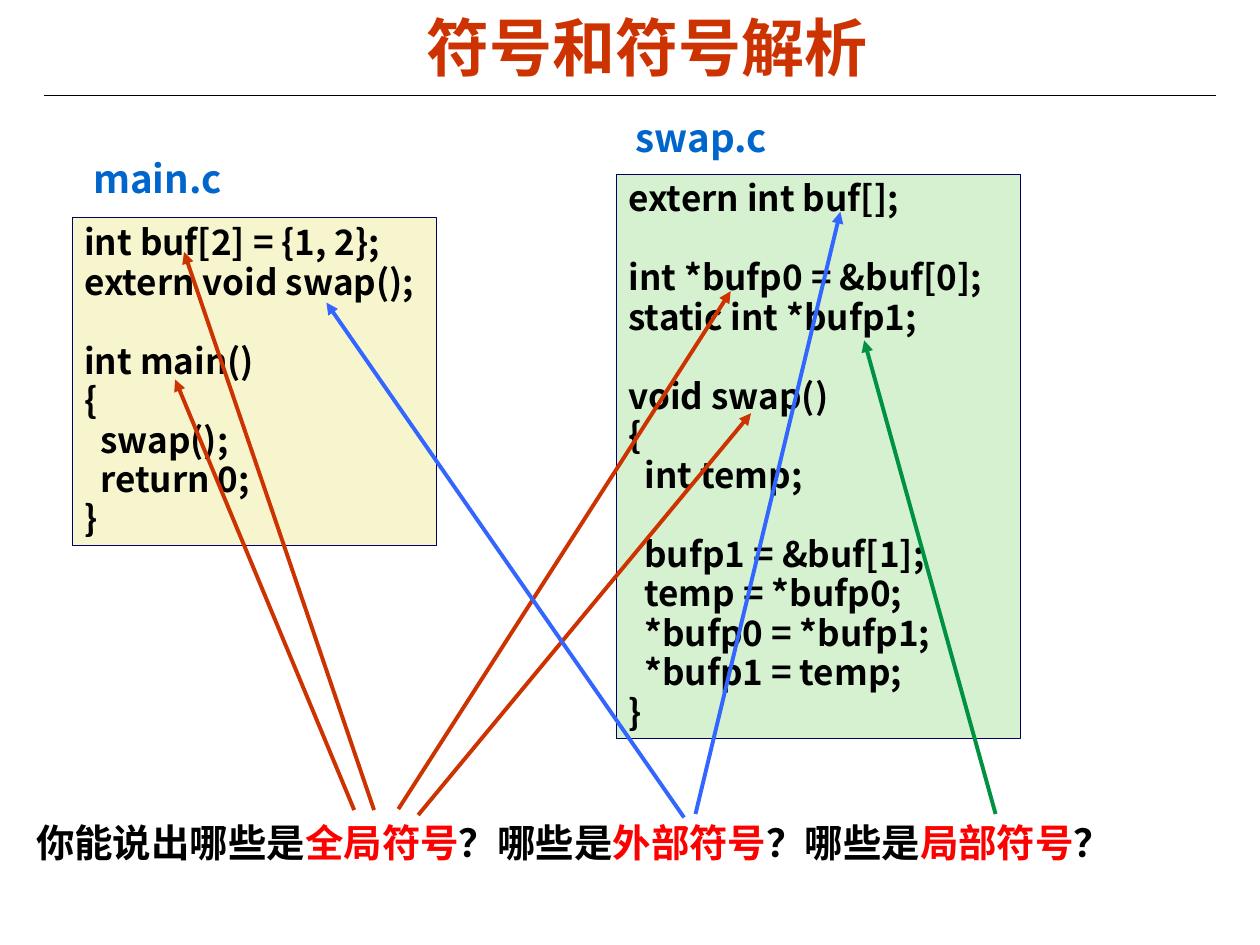
from lxml import etree
from pptx import Presentation
from pptx.dml.color import RGBColor
from pptx.enum.shapes import MSO_CONNECTOR, MSO_SHAPE
from pptx.enum.text import MSO_ANCHOR, PP_ALIGN
from pptx.oxml.ns import qn
from pptx.util import Cm, Pt

STRAIGHT = MSO_CONNECTOR.STRAIGHT
RECTANGLE = MSO_SHAPE.RECTANGLE
TOP, MIDDLE = MSO_ANCHOR.TOP, MSO_ANCHOR.MIDDLE
LEFT, CENTER = PP_ALIGN.LEFT, PP_ALIGN.CENTER

BLACK = RGBColor(0x00, 0x00, 0x00)
RED = RGBColor(0xFF, 0x00, 0x00)
BRICK = RGBColor(0xCC, 0x33, 0x00)
BLUE = RGBColor(0x33, 0x66, 0xFF)
GREEN = RGBColor(0x00, 0x92, 0x42)
FILE_BLUE = RGBColor(0x00, 0x66, 0xCC)
NAVY = RGBColor(0x00, 0x00, 0x66)
CREAM = RGBColor(0xF7, 0xF5, 0xCD)
MINT = RGBColor(0xD5, 0xF1, 0xCF)

TEXT_FONT = "Arial"
CODE_FONT = "Noto Sans CJK SC"
CODE_SPACING = 0.94
CODE_LINE = Pt(22.6)

MAIN_CODE = """int buf[2] = {1, 2};
extern void swap();

int main()
{
  swap();
  return 0;
}"""

SWAP_CODE = """extern int buf[];

int *bufp0 = &buf[0];
static int *bufp1;

void swap()
{
  int temp;

  bufp1 = &buf[1];
  temp = *bufp0;
  *bufp0 = *bufp1;
  *bufp1 = temp;
}"""

QUESTION = [
    ("你能说出哪些是", BLACK), ("全局符号", RED),
    ("？哪些是", BLACK), ("外部符号", RED),
    ("？哪些是", BLACK), ("局部符号", RED), ("？", BLACK),
]

ARROWS = [
    (BRICK, (7.54, 16.33), (3.71, 5.08)),
    (BRICK, (7.14, 16.33), (3.53, 7.65)),
    (BRICK, (8.03, 16.31), (14.73, 5.87)),
    (BRICK, (8.43, 16.43), (15.14, 8.33)),
    (BLUE, (13.79, 16.48), (6.58, 6.1)),
    (BLUE, (14.02, 16.41), (16.94, 4.27)),
    (GREEN, (20.07, 16.41), (17.42, 6.86)),
]


def format_font(font, name, size, color):
    """Apply the bold style that all text on the slide shares."""
    font.name = name
    font.size = Pt(size)
    font.bold = True
    font.color.rgb = color


def add_text(page, place, spans, name, size, align=LEFT, anchor=TOP):
    """Add a one-paragraph text box made of coloured spans."""
    box = page.shapes.add_textbox(*map(Cm, place))
    box.text_frame.word_wrap = True
    box.text_frame.vertical_anchor = anchor
    para = box.text_frame.paragraphs[0]
    para.alignment = align
    for text, color in spans:
        span = para.add_run()
        span.text = text
        format_font(span.font, name, size, color)
    return para


def add_file_name(page, place, text):
    """Add the name of a source file."""
    para = add_text(page, place, [(text, FILE_BLUE)], CODE_FONT, 22)
    para.line_spacing = CODE_SPACING


def add_code(page, place, code, fill):
    """Add a filled box of code, with a line's space between its groups."""
    box = page.shapes.add_shape(RECTANGLE, *map(Cm, place))
    box.shadow.inherit = False
    box.fill.solid()
    box.fill.fore_color.rgb = fill
    box.line.color.rgb = NAVY
    box.line.width = Pt(0.25)
    frame = box.text_frame
    frame.word_wrap = True
    frame.vertical_anchor = TOP
    groups = [group.split("\n") for group in code.split("\n\n")]
    frame.text = "\n".join(line for group in groups for line in group)
    for para in frame.paragraphs:
        para.alignment = LEFT
        para.line_spacing = CODE_SPACING
        format_font(para.runs[0].font, CODE_FONT, 20, BLACK)
    first = 0
    for group in groups[:-1]:
        first += len(group)
        frame.paragraphs[first].space_before = CODE_LINE


def add_line(page, start, end, color, width):
    """Add a straight line without a shadow."""
    line = page.shapes.add_connector(STRAIGHT, *map(Cm, start + end))
    line.line.color.rgb = color
    line.line.width = Pt(width)
    etree.SubElement(line._element.spPr, qn("a:effectLst"))
    return line


def add_arrow(page, start, end, color):
    """Add a line that points at a symbol in the code."""
    arrow = add_line(page, start, end, color, 2.25)
    etree.SubElement(arrow.line._get_or_add_ln(), qn("a:tailEnd"), type="triangle")


def main():
    """Build the slide and save it."""
    deck = Presentation()
    deck.slide_width, deck.slide_height = Cm(25.4), Cm(19.05)
    page = deck.slides.add_slide(deck.slide_layouts[6])

    add_line(page, (0.89, 1.93), (24.51, 1.93), BLACK, 0.75)
    add_text(page, (0.94, -0.15, 24.21, 2.18), [("符号和符号解析", BRICK)],
             TEXT_FONT, 36, CENTER, MIDDLE)
    add_code(page, (1.45, 4.39, 7.34, 6.6), MAIN_CODE, CREAM)
    add_file_name(page, (1.63, 3.07, 3.28, 1.12), "main.c")
    add_code(page, (12.42, 3.51, 8.15, 11.38), SWAP_CODE, MINT)
    add_file_name(page, (12.57, 2.26, 3.71, 1.12), "swap.c")
    add_text(page, (0.48, 16.38, 22.73, 1.19), QUESTION, TEXT_FONT, 22)
    for color, start, end in ARROWS:
        add_arrow(page, start, end, color)

    deck.save("out.pptx")


if __name__ == "__main__":
    main()
